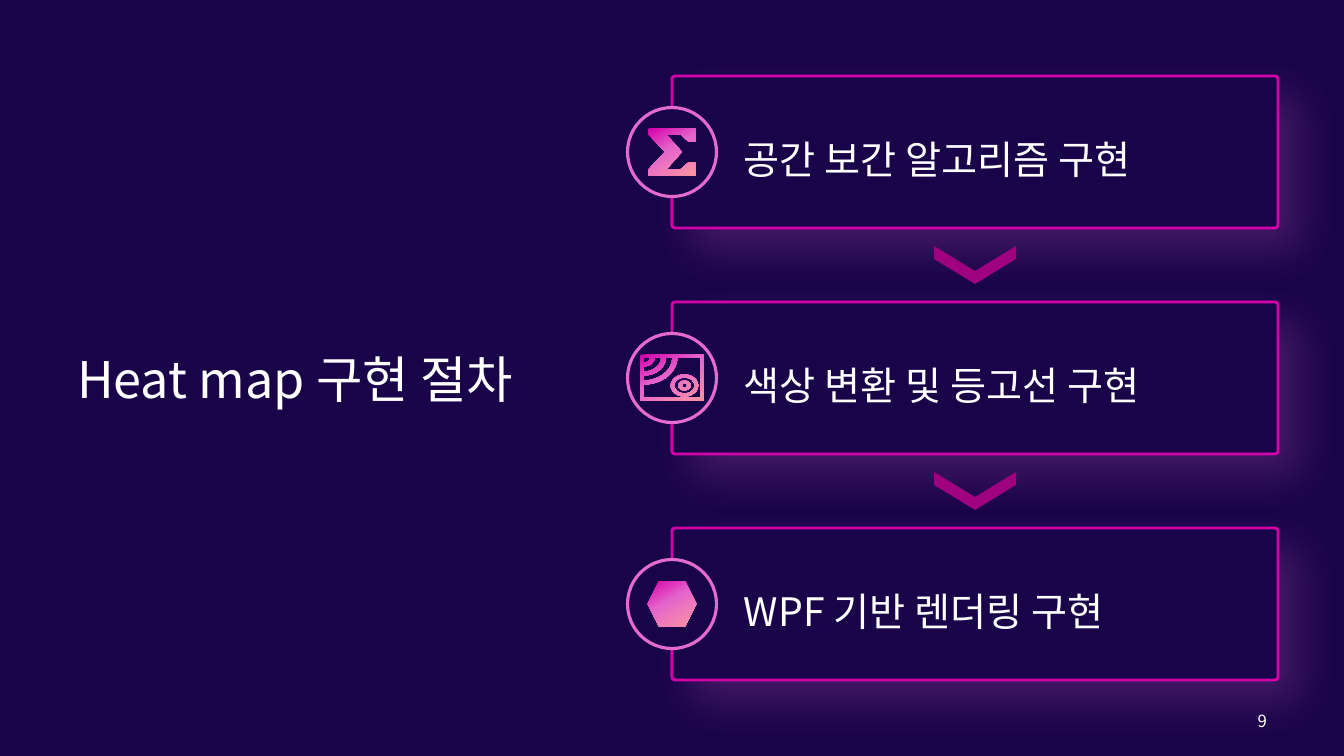
from copy import deepcopy
from math import cos, pi, sin

from lxml import etree
from pptx import Presentation
from pptx import util as u
from pptx.dml.color import RGBColor
from pptx.enum import shapes, text
from pptx.oxml.ns import qn

# Content
TITLE = "Heat map 구현 절차"
STEPS = ["공간 보간 알고리즘 구현", "색상 변환 및 등고선 구현", "WPF 기반 렌더링 구현"]
PAGE_NUMBER = "9"

# Upper half of the sigma in px, mirrored to give the lower half
SIGMA_SIZE = 47
SIGMA_HALF = [(33, 23), (18, 6), (32, 6), (40, 13), (47, 13), (47, 0), (0, 0), (0, 6), (16, 23)]

# Contour map in px: a frame, rings round a peak and arcs round a corner
MAP_WIDTH, MAP_HEIGHT, MAP_FRAME = 63, 46, 3
PEAK = (44, 31)
PEAK_RADII = [11, 8, 5, 2]
CORNER_RADII = [27, 23, 18, 14, 9, 5]
STRETCH = 1.25

# Style
FONT = "Noto Sans CJK KR"
WHITE = RGBColor(0xFF, 0xFF, 0xFF)
NAVY = RGBColor(0x19, 0x04, 0x49)
MAGENTA = RGBColor(0xD5, 0x02, 0xAA)
PURPLE = RGBColor(0xA0, 0x01, 0x7F)
ORCHID = RGBColor(0xE6, 0x6B, 0xCE)
PINK = RGBColor(0xE5, 0x66, 0xCC)
SALMON = RGBColor(0xFA, 0x94, 0xA1)
ICON_STOPS = [(0, MAGENTA), (0.44, PINK), (0.99, SALMON)]

# Layout in px
SLIDE_WIDTH, SLIDE_HEIGHT = 1344, 756
SCALE = 12192000 / SLIDE_WIDTH
FINE = 10  # outline units per px
BOX_LEFT, BOX_TOP, BOX_WIDTH, BOX_HEIGHT, BOX_STEP = 672, 76, 606, 152, 226
CIRCLE = 89
CHEVRON_WIDTH, CHEVRON_HEIGHT = 38, 82


def px(*lengths):
    return [u.Emu(round(length * SCALE)) for length in lengths]


def add_shape(kind, left, top, width, height, fill, line=None, line_width=0):
    shape = slide.shapes.add_shape(kind, *px(left, top, width, height))
    shape.shadow.inherit = False
    shape.fill.solid()
    shape.fill.fore_color.rgb = fill
    if line is None:
        shape.line.fill.background()
    else:
        shape.line.color.rgb = line
        shape.line.width = u.Pt(line_width)
    return shape


def add_glow(shape):
    effects = shape._element.spPr.find(qn("a:effectLst"))
    shadow = etree.SubElement(effects, qn("a:outerShdw"), blurRad=str(u.Pt(32)),
                              dist=str(u.Pt(21)), dir="2700000", algn="tl", rotWithShape="0")
    color = etree.SubElement(shadow, qn("a:srgbClr"), val=str(PINK))
    etree.SubElement(color, qn("a:alpha"), val="22000")


def write(shape, words, size, align=text.PP_ALIGN.LEFT, spacing=1.0):
    frame = shape.text_frame
    frame.word_wrap = True
    frame.auto_size = text.MSO_AUTO_SIZE.NONE
    frame.vertical_anchor = text.MSO_ANCHOR.MIDDLE
    frame.text = words
    paragraph = frame.paragraphs[0]
    paragraph.alignment = align
    paragraph.line_spacing = spacing
    paragraph.font.size = u.Pt(size)
    paragraph.font.color.rgb = WHITE
    paragraph.font.name = FONT
    latin = paragraph._p.pPr.find(".//" + qn("a:latin"))
    latin.addnext(latin.makeelement(qn("a:ea"), typeface=FONT))


def rectangle(inset):
    right, bottom = MAP_WIDTH - inset, MAP_HEIGHT - inset
    return [(inset, inset), (right, inset), (right, bottom), (inset, bottom)]


def arc(center, radius, sweep, steps=24):
    angles = [sweep * i / steps for i in range(steps + 1)]
    return [(center[0] + STRETCH * radius * cos(a), center[1] + radius * sin(a)) for a in angles]


def add_icon_outline(outlines, left, top):
    first, *others = [[(x * FINE, y * FINE) for x, y in outline] for outline in outlines]
    builder = slide.shapes.build_freeform(*first[0], scale=SCALE / FINE)
    builder.add_line_segments(first[1:], close=True)
    for points in others:
        builder.move_to(*points[0])
        builder.add_line_segments(points[1:], close=True)
    shape = builder.convert_to_shape(*px(left, top))
    shape.shadow.inherit = False
    shape.line.fill.background()
    return shape


def paint_icon(shape):
    shape.fill.gradient()
    shape.fill.gradient_angle = 300
    stop_list = shape._element.spPr.find(".//" + qn("a:gsLst"))
    stop_list.append(deepcopy(stop_list[0]))
    for stop, (position, color) in zip(shape.fill.gradient_stops, ICON_STOPS):
        stop.position = position
        stop.color.rgb = color


presentation = Presentation()
presentation.slide_width, presentation.slide_height = px(SLIDE_WIDTH, SLIDE_HEIGHT)
slide = presentation.slides.add_slide(presentation.slide_layouts[5])
slide.background.fill.solid()
slide.background.fill.fore_color.rgb = NAVY

# Title
title = slide.shapes.title
title.left, title.top, title.width, title.height = px(67, 75, 544, 606)
write(title, TITLE, 36)

# Steps: box, text and circle
circle_left = BOX_LEFT - CIRCLE / 2
circle_tops = []
for index, step in enumerate(STEPS):
    top = BOX_TOP + index * BOX_STEP
    box = add_shape(shapes.MSO_SHAPE.ROUNDED_RECTANGLE, BOX_LEFT, top, BOX_WIDTH, BOX_HEIGHT,
                    NAVY, MAGENTA, 2)
    box.adjustments[0] = 0.02
    add_glow(box)
    write(slide.shapes.add_textbox(*px(734, top - 1, 544, 144)), step, 28, spacing=1.5)
    circle_tops.append(top + (BOX_HEIGHT - CIRCLE) / 2)
    add_shape(shapes.MSO_SHAPE.OVAL, circle_left, circle_tops[-1], CIRCLE, CIRCLE,
              NAVY, ORCHID, 2.25)

# Icons
sigma = SIGMA_HALF + [(x, SIGMA_SIZE - y) for x, y in reversed(SIGMA_HALF)]
paint_icon(add_icon_outline([sigma], circle_left + 21, circle_tops[0] + 21))

corner = (MAP_FRAME, MAP_FRAME)
contours = [rectangle(0), rectangle(MAP_FRAME)]
contours += [arc(PEAK, radius, 2 * pi) for radius in PEAK_RADII]
contours += [[corner] + arc(corner, radius, pi / 2) for radius in CORNER_RADII]
paint_icon(add_icon_outline(contours, circle_left + 13, circle_tops[1] + 21))

paint_icon(add_shape(shapes.MSO_SHAPE.HEXAGON, circle_left + 20, circle_tops[2] + 22, 49, 45,
                     MAGENTA))

# Chevrons centred in the gaps between boxes
for index in range(len(STEPS) - 1):
    middle = BOX_TOP + index * BOX_STEP + (BOX_HEIGHT + BOX_STEP) / 2
    chevron = add_shape(shapes.MSO_SHAPE.CHEVRON, BOX_LEFT + (BOX_WIDTH - CHEVRON_WIDTH) / 2,
                        middle - CHEVRON_HEIGHT / 2, CHEVRON_WIDTH, CHEVRON_HEIGHT, PURPLE)
    chevron.adjustments[0] = 0.66
    chevron.rotation = 90

# Page number
write(slide.shapes.add_textbox(*px(1120, 701, 157, 40)), PAGE_NUMBER, 12, text.PP_ALIGN.RIGHT)

presentation.save("out.pptx")
